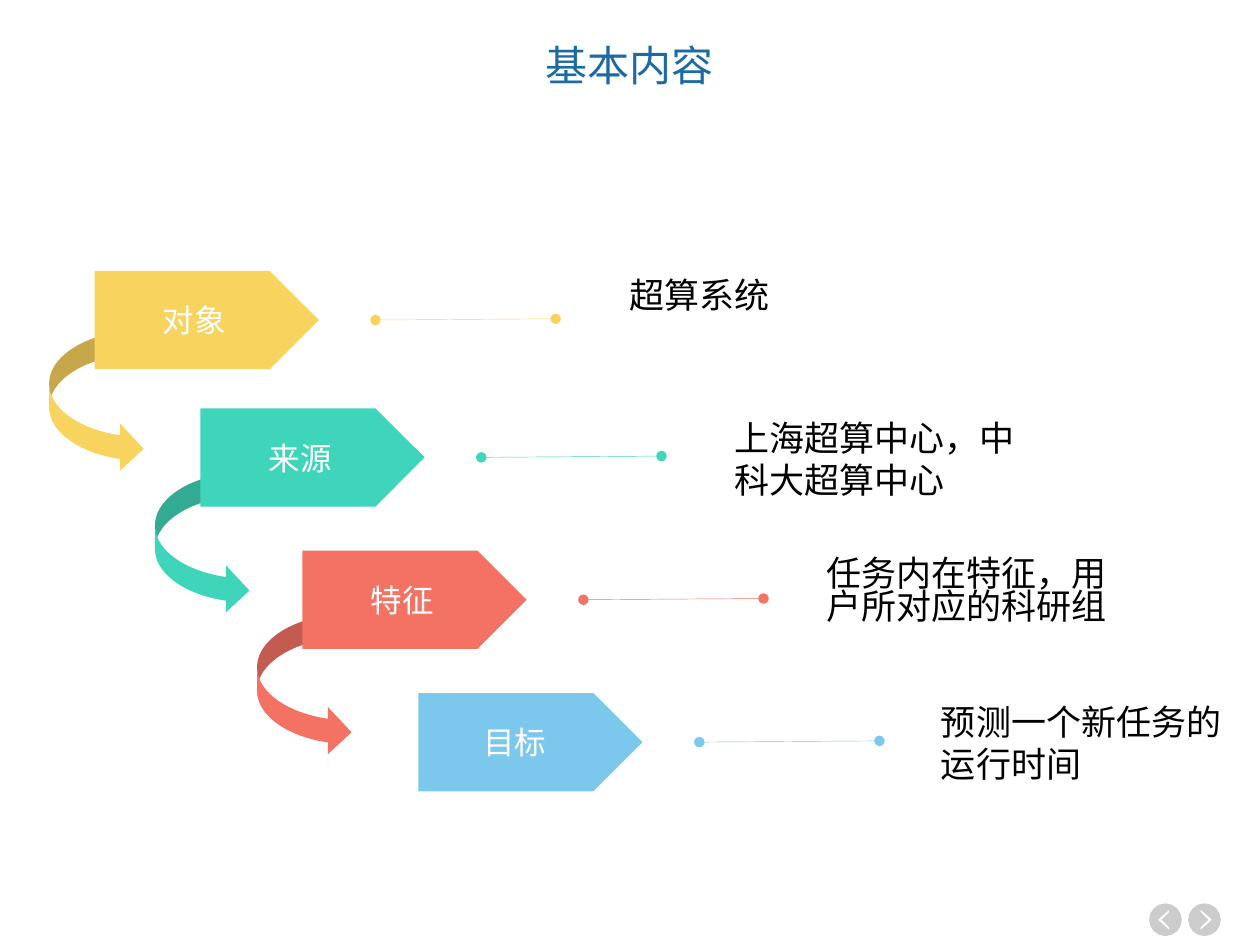
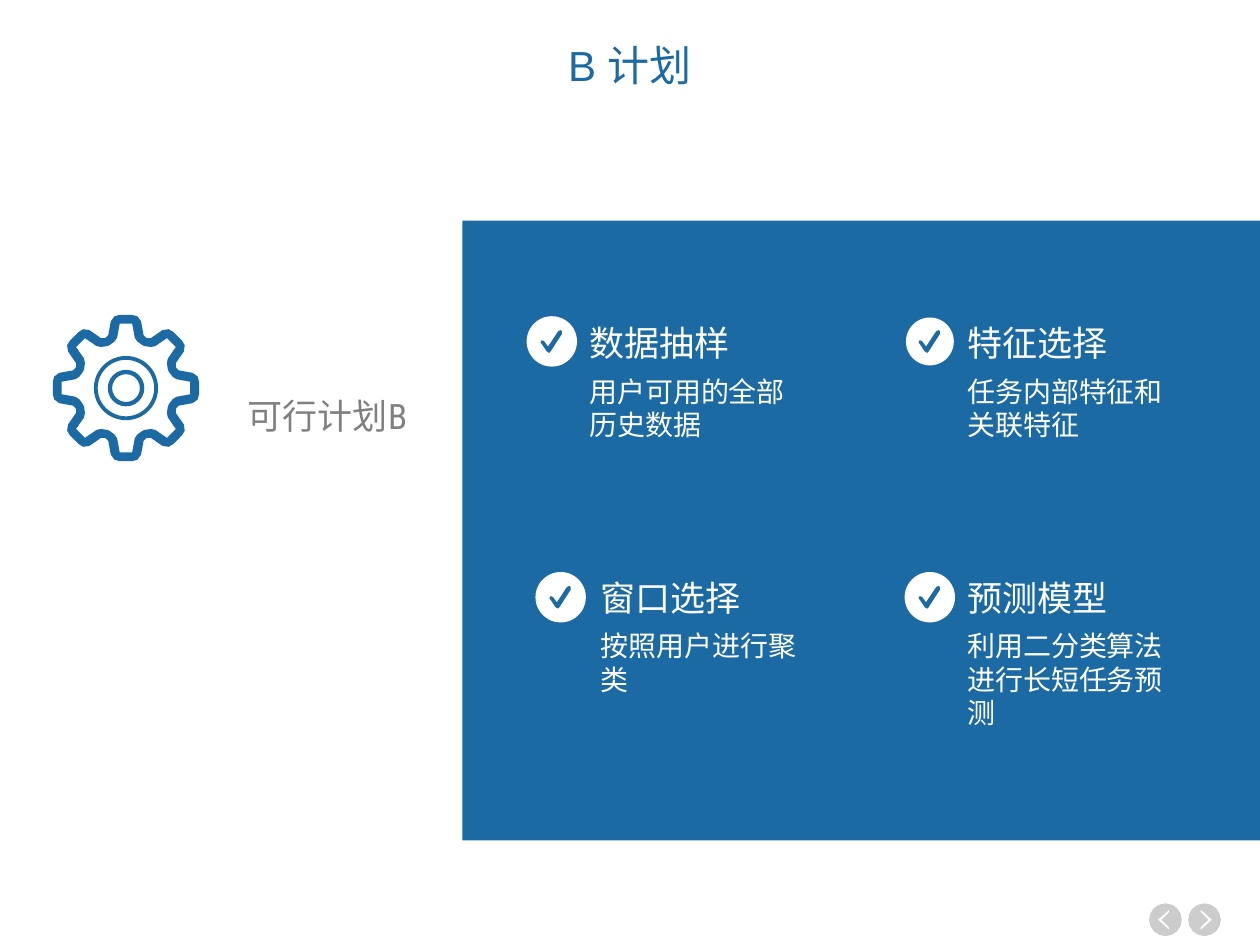
from math import cos, pi, radians, sin
from pptx import Presentation
from pptx.dml.color import RGBColor
from pptx.enum.shapes import MSO_CONNECTOR, MSO_SHAPE
from pptx.enum.text import MSO_ANCHOR, PP_ALIGN
from pptx.oxml.ns import qn
from pptx.util import Inches, Pt
from lxml import etree

COLORS = {
    "blue": "1B6AA3", "white": "FFFFFF", "black": "000000", "gray": "808080",
    "yellow": "F8D35E", "green": "3FD5BA", "red": "F47264", "sky": "7CC8EC",
}
FONT = "Roboto Condensed"

prs = Presentation()
prs.slide_width, prs.slide_height = Inches(10), Inches(7.5)


def add_filled(s, kind, color, box=None, contours=None):
    """Add a preset shape in a box, or a freeform from closed contours."""
    if contours:
        fb = None
        for contour in contours:
            points = [(Inches(x), Inches(y)) for x, y in contour]
            if fb is None:
                fb = s.shapes.build_freeform(*points[0])
            else:
                fb.move_to(*points[0])
            fb.add_line_segments(points[1:], close=True)
        sp = fb.convert_to_shape()
    else:
        sp = s.shapes.add_shape(kind, *[Inches(v) for v in box])
    sp.shadow.inherit = False
    sp.fill.solid()
    sp.fill.fore_color.rgb = RGBColor.from_string(COLORS[color])
    sp.line.fill.background()
    return sp


def add_text(s, text, box, size, color, align=PP_ALIGN.LEFT, spacing=None,
             font=FONT, sp=None):
    """Write one paragraph into a new text box, or into the shape sp."""
    sp = sp or s.shapes.add_textbox(*[Inches(v) for v in box])
    tf = sp.text_frame
    tf.word_wrap = True
    p = tf.paragraphs[0]
    p.text = text
    p.alignment = align
    if spacing:
        p.line_spacing = spacing
    p.font.name, p.font.size = font, Pt(size)
    p.font.color.rgb = RGBColor.from_string(COLORS[color])
    return tf


# Slides with their titles
slides = []
for title, font in (("基本内容", FONT), ("B 计划", "Arial")):
    s = prs.slides.add_slide(prs.slide_layouts[6])
    tf = add_text(s, title, (2.25, 0.34, 5.5, 0.4), 24, "blue",
                  PP_ALIGN.CENTER, 0.9, font)
    tf.vertical_anchor = MSO_ANCHOR.MIDDLE
    slides.append(s)

# Shared frame, moved to the slide master: navigation buttons and title band
s = slides[0]
circle = [(cos(2 * pi * i / 16), sin(2 * pi * i / 16)) for i in range(16)]
chevron = [(-0.03, -0.08), (-0.03, -0.06), (0.03, 0),
           (-0.03, 0.06), (-0.03, 0.08), (0.06, 0)]
frame = []
for cx, direction in ((9.56, 1), (9.25, -1)):
    sp = add_filled(s, None, "black", contours=[
        [(cx + 0.13 * x, 7.3 + 0.13 * y) for x, y in circle],
        [(cx + direction * x, 7.3 + y) for x, y in chevron]])
    clr = sp.fill._xPr.find(qn("a:solidFill"))[0]
    etree.SubElement(clr, qn("a:alpha")).set("val", "20000")
    frame.append(sp)
frame.append(add_filled(s, MSO_SHAPE.RECTANGLE, "white", (0, 0, 10, 1.22)))
for i, sp in enumerate(frame):
    sp._element.nvSpPr.cNvPr.set("id", str(100 + i))
    prs.slide_master.shapes._spTree.append(sp._element)

# Slide 1: descending steps, each with an arrow, a link and a description
steps = [
    ("对象", "yellow", 0.75, 2.15, "超算系统", 4.9, 2.12, None),
    ("来源", "green", 1.59, 3.24, "上海超算中心，中科大超算中心", 5.73, 3.26, None),
    ("特征", "red", 2.4, 4.37, "任务内在特征，用户所对应的科研组", 6.46, 4.39, 0.8),
    ("目标 ", "sky", 3.32, 5.5, "预测一个新任务的运行时间", 7.37, 5.51, None),
]
for i, (label, color, x, y, note, note_x, note_y, spacing) in enumerate(steps):
    if i < len(steps) - 1:
        add_filled(s, MSO_SHAPE.CURVED_RIGHT_ARROW, color,
                   (x - 0.36, 2.62 + 1.125 * i, 0.75, 1.13))
    sp = add_filled(s, MSO_SHAPE.PENTAGON, color, (x, y, 1.78, 0.78))
    tf = add_text(s, label, None, 18, "white", PP_ALIGN.CENTER, sp=sp)
    tf.vertical_anchor = MSO_ANCHOR.MIDDLE

    link = s.shapes.add_connector(
        MSO_CONNECTOR.STRAIGHT, Inches(x + 2.23), Inches(y + 0.39),
        Inches(x + 3.66), Inches(y + 0.38))
    link.line.color.rgb = RGBColor.from_string(COLORS[color])
    link.line.width = Pt(0.25)
    ln = link.line._get_or_add_ln()
    for end in ("a:headEnd", "a:tailEnd"):
        etree.SubElement(ln, qn(end)).set("type", "oval")
    etree.SubElement(link._element.spPr, qn("a:effectLst"))

    add_text(s, note, (note_x, note_y, 2.44, 0.94), 20, "black", spacing=spacing)

# Slide 2: blue panel and plan name
s = slides[1]
add_filled(s, MSO_SHAPE.RECTANGLE, "blue", (3.67, 1.75, 6.33, 4.92))
add_text(s, "可行计划B", (1.5, 3.08, 1.83, 0.44), 20, "gray", PP_ALIGN.RIGHT)

# Gear: half a tooth, mirrored and turned eight times, for each edge
gear_x, gear_y = 1.0, 3.08
outer_half = [(0.05, -0.58), (0.09, -0.57), (0.12, -0.53),
              (0.14, -0.42), (0.16, -0.4)]
inner_half = [(0.05, -0.51), (0.07, -0.4), (0.09, -0.37), (0.13, -0.34)]
edges = []
for half in (outer_half, inner_half):
    tooth = [(-x, y) for x, y in reversed(half)] + half
    edges.append([
        (gear_x + x * cos(radians(a)) - y * sin(radians(a)),
         gear_y + x * sin(radians(a)) + y * cos(radians(a)))
        for a in range(0, 360, 45) for x, y in tooth])
add_filled(s, None, "blue", contours=edges)
for size, thickness in ((0.51, 0.06), (0.29, 0.12)):
    sp = add_filled(s, MSO_SHAPE.DONUT, "blue",
                    (gear_x - size / 2, gear_y - size / 2, size, size))
    sp.adjustments[0] = thickness

# Four checked items
check = [(0.07, 0.18), (0.05, 0.17), (0.01, 0.11), (0, 0.1), (0.01, 0.08),
         (0.03, 0.09), (0.06, 0.13), (0.14, 0.01), (0.16, 0), (0.17, 0.01),
         (0.17, 0.03), (0.08, 0.17)]
items = [
    ("数据抽样", "用户可用的全部历史数据", 4.58, 2.5, 2.92, 0.64, 4.18, 0.4),
    ("特征选择", "任务内部特征和关联特征", 7.58, 2.5, 2.92, 0.64, 7.19, 0.38),
    ("窗口选择", "按照用户进行聚类", 4.67, 4.53, 4.94, 0.64, 4.25, 0.4),
    ("预测模型", "利用二分类算法进行长短任务预测", 7.58, 4.53, 4.94, 0.91, 7.18, 0.4),
]
for heading, body, x, y, body_y, body_h, dot_x, size in items:
    dot_y = y + 0.21 - size / 2
    add_text(s, body, (x, body_y, 1.92, body_h), 16, "white")
    add_text(s, heading, (x, y, 1.5, 0.44), 20, "white")
    add_filled(s, MSO_SHAPE.OVAL, "white", (dot_x, dot_y, size, size))
    inset = size / 2 - 0.09
    add_filled(s, None, "blue", contours=[
        [(dot_x + inset + px, dot_y + inset + py) for px, py in check]])

prs.save("out.pptx")
